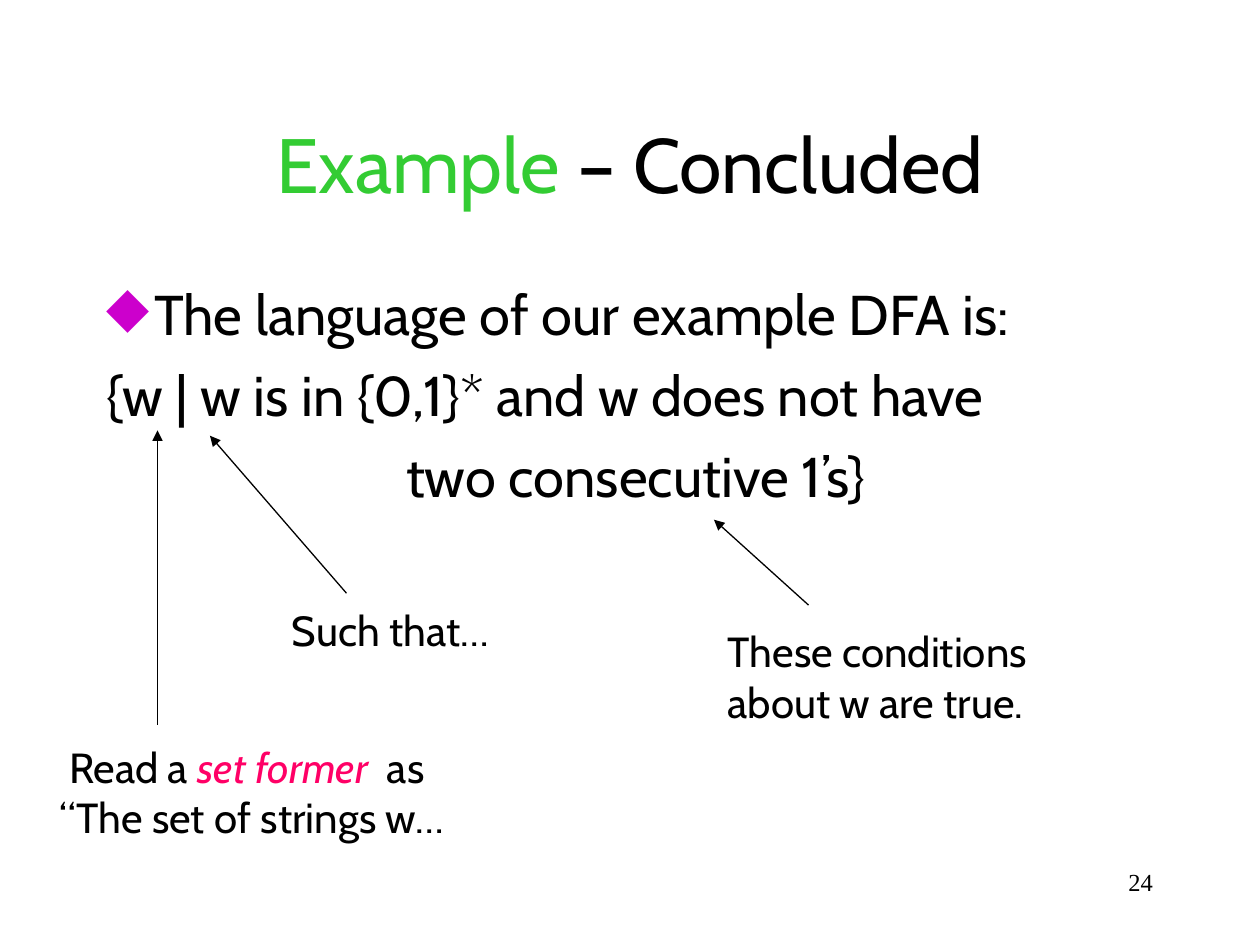
from dataclasses import dataclass
from typing import NamedTuple

from lxml.etree import SubElement
from pptx import Presentation
from pptx.dml.color import RGBColor
from pptx.enum.shapes import MSO_CONNECTOR
from pptx.enum.text import MSO_ANCHOR, MSO_AUTO_SIZE, PP_ALIGN
from pptx.oxml.ns import qn
from pptx.util import Emu, Pt

PX = 9525  # 96 px to the inch

BLACK = RGBColor(0x00, 0x00, 0x00)
GREEN = RGBColor(0x33, 0xCC, 0x33)
PINK = RGBColor(0xFF, 0x00, 0x66)
PURPLE = RGBColor(0xCC, 0x00, 0xCC)

HANGING = 36
CONTINUATION = 228


class Box(NamedTuple):
    left: int
    top: int
    width: int
    height: int


class Point(NamedTuple):
    x: int
    y: int


class Run(NamedTuple):
    text: str
    color: RGBColor = BLACK
    italic: bool = False


@dataclass(frozen=True)
class Line:
    runs: tuple[Run, ...]
    margin: int = 0
    indent: int = 0
    bullet: str = ""


@dataclass(frozen=True)
class Callout:
    box: Box
    lines: tuple[Line, ...]
    start: Point
    tip: Point


TITLE = Line((Run("Example", GREEN), Run(" – Concluded")))

LANGUAGE = (
    Line((Run("The language of our example DFA is:"),), HANGING, -HANGING, "◆"),
    Line((Run("{w | w is in {0,1}* and w does not have"),), HANGING, -HANGING),
    Line((Run("two consecutive 1’s}"),), CONTINUATION),
)

CALLOUTS = (
    Callout(
        Box(36, 560, 348, 86),
        (
            Line((Run(" Read a "), Run("set former", PINK, True), Run("  as"))),
            Line((Run("“The set of strings w…"),)),
        ),
        Point(120, 552),
        Point(120, 328),
    ),
    Callout(
        Box(213, 456, 186, 48),
        (Line((Run("Such that…"),)),),
        Point(264, 452),
        Point(160, 332),
    ),
    Callout(
        Box(545, 472, 277, 86),
        (Line((Run("These conditions"),)), Line((Run("about w are true."),))),
        Point(616, 461),
        Point(544, 396),
    ),
)


def px(length: int) -> Emu:
    return Emu(length * PX)


def place(shape, box: Box) -> None:
    shape.left, shape.top, shape.width, shape.height = map(px, box)


def write(frame, lines, *, size: int, font: str = "Cabin", align=PP_ALIGN.LEFT,
          anchor=MSO_ANCHOR.TOP, gap: int = 0) -> None:
    """Fill a text frame; gap is the space in points between its paragraphs."""
    frame.word_wrap = True
    frame.auto_size = MSO_AUTO_SIZE.NONE
    frame.vertical_anchor = anchor
    for number, line in enumerate(lines):
        paragraph = frame.add_paragraph() if number else frame.paragraphs[0]
        properties = paragraph._p.get_or_add_pPr()
        properties.set("marL", str(px(line.margin)))
        properties.set("indent", str(px(line.indent)))
        if line.bullet:
            bullet_color = SubElement(properties, qn("a:buClr"))
            SubElement(bullet_color, qn("a:srgbClr"), val=str(PURPLE))
            SubElement(properties, qn("a:buChar"), char=line.bullet)
        paragraph.alignment = align
        paragraph.space_before = Pt(gap if number else 0)
        for part in line.runs:
            run = paragraph.add_run()
            run.text = part.text
            run.font.name = font
            run.font.size = Pt(size)
            run.font.italic = part.italic
            run.font.color.rgb = part.color


def add_text(slide, box: Box, lines, **text_format) -> None:
    write(slide.shapes.add_textbox(*map(px, box)).text_frame, lines, **text_format)


def add_arrow(slide, start: Point, tip: Point) -> None:
    arrow = slide.shapes.add_connector(
        MSO_CONNECTOR.STRAIGHT, *map(px, (*start, *tip)))
    arrow.line.color.rgb = BLACK
    arrow.line.width = Pt(0.75)
    SubElement(arrow.line._get_or_add_ln(), qn("a:tailEnd"), type="triangle")
    SubElement(arrow._element.spPr, qn("a:effectLst"))


def main() -> None:
    presentation = Presentation()
    presentation.slide_width, presentation.slide_height = px(960), px(720)
    slide = presentation.slides.add_slide(presentation.slide_layouts[5])

    title = slide.shapes.title
    place(title, Box(72, 64, 816, 120))
    write(title.text_frame, [TITLE], size=44, align=PP_ALIGN.CENTER,
          anchor=MSO_ANCHOR.MIDDLE)

    add_text(slide, Box(72, 208, 816, 432), LANGUAGE, size=32, gap=8)
    for callout in CALLOUTS:
        add_text(slide, callout.box, callout.lines, size=24)
        add_arrow(slide, callout.start, callout.tip)
    add_text(slide, Box(688, 656, 200, 48), [Line((Run("24"),))], size=14,
             font="Times New Roman", align=PP_ALIGN.RIGHT)

    presentation.save("out.pptx")


if __name__ == "__main__":
    main()
